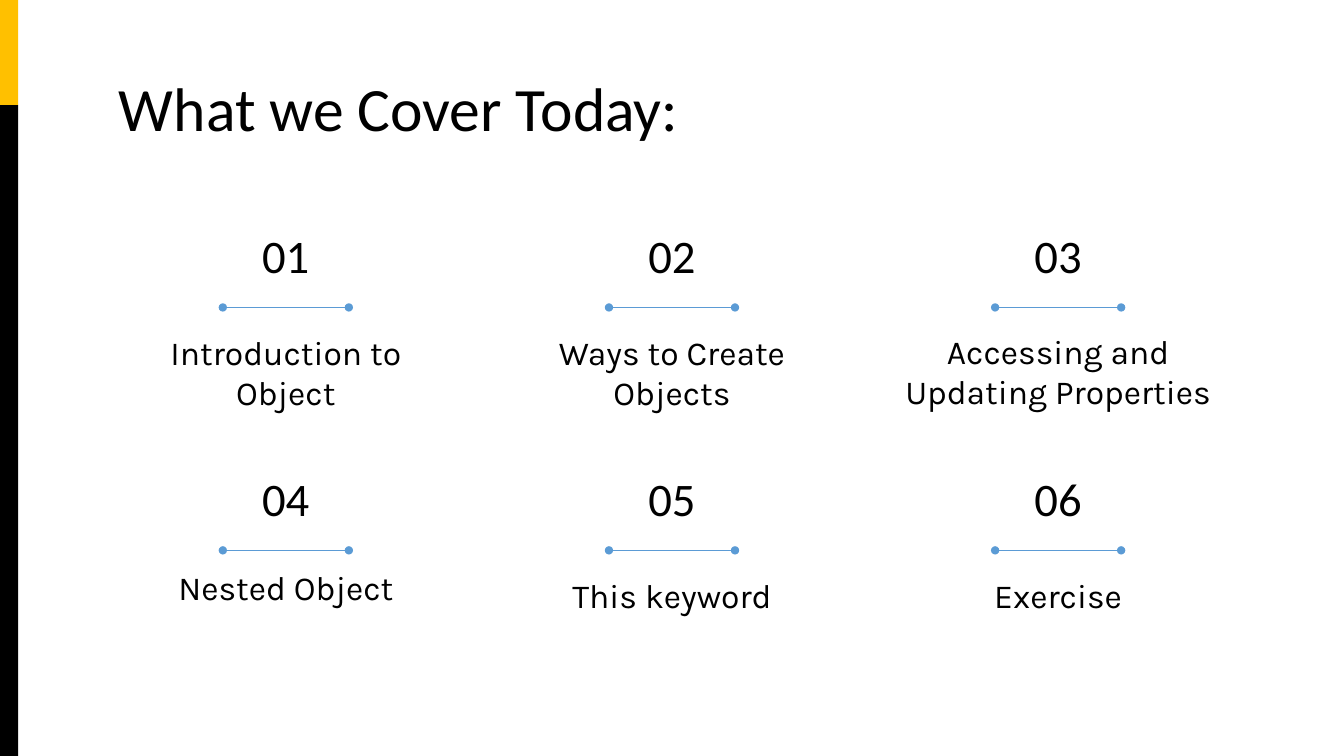
from dataclasses import dataclass

from lxml.etree import SubElement
from pptx import Presentation
from pptx.dml.color import RGBColor
from pptx.enum.shapes import MSO_CONNECTOR, MSO_SHAPE
from pptx.enum.text import MSO_ANCHOR, MSO_AUTO_SIZE, PP_ALIGN
from pptx.oxml.ns import qn
from pptx.slide import Slide
from pptx.text.text import TextFrame
from pptx.util import Inches, Pt


@dataclass(frozen=True)
class Theme:
    """Colours, fonts and type sizes of the slide."""
    ink: RGBColor = RGBColor(0, 0, 0)
    accent: RGBColor = RGBColor(0xFF, 0xC0, 0x00)
    rule: RGBColor = RGBColor(0x5B, 0x9B, 0xD5)
    heading_font: str = "Calibri"
    body_font: str = "Karla"
    title_size: float = 44
    number_size: float = 33.3
    topic_size: float = 24
    inset: float = 0.13


@dataclass(frozen=True)
class Grid:
    """Topic grid in inches, with offsets measured from each row's top."""
    left: float = 1.05
    width: float = 11.23
    cols: int = 3
    cell_w: float = 3.57
    top: float = 2.03
    row_pitch: float = 2.41
    number_w: float = 1.14
    number_h: float = 0.91
    rule_w: float = 1.25
    rule_y: float = 1.02
    topic_y: float = 1.13
    topic_h: float = 0.65

    def cell(self, index: int) -> tuple[float, float]:
        """Return the left and top of a cell."""
        row, col = divmod(index, self.cols)
        pitch = (self.width - self.cell_w) / (self.cols - 1)
        return self.left + col * pitch, self.top + row * self.row_pitch


@dataclass(frozen=True)
class Topic:
    """One agenda entry, with an optional upward shift of its text."""
    text: str
    lift: float = 0


THEME = Theme()
GRID = Grid()
SLIDE_W, SLIDE_H = 13.33, 7.5
BAR_W, ACCENT_H = 0.18, 1.04
TOPICS = (
    Topic("Introduction to Object"),
    Topic("Ways to Create Objects"),
    Topic("Accessing and Updating Properties", lift=0.01),
    Topic("Nested Object", lift=0.08),
    Topic("This keyword"),
    Topic("Exercise"),
)


def write(tf: TextFrame, text: str, *, size: float, font: str,
          align: PP_ALIGN = PP_ALIGN.CENTER, anchor: MSO_ANCHOR = MSO_ANCHOR.TOP,
          spacing: float = 1.0) -> None:
    """Fill a text frame with one formatted paragraph."""
    tf.word_wrap = True
    tf.auto_size = MSO_AUTO_SIZE.NONE
    tf.vertical_anchor = anchor
    tf.margin_left = tf.margin_right = Inches(THEME.inset)
    tf.margin_top = tf.margin_bottom = Inches(THEME.inset)
    p = tf.paragraphs[0]
    p.alignment, p.line_spacing = align, spacing
    p.space_before = Pt(0)
    r = p.add_run()
    r.text = text
    r.font.size, r.font.name = Pt(size), font
    r.font.color.rgb = THEME.ink


def add_text(s: Slide, x: float, y: float, w: float, h: float) -> TextFrame:
    """Add a text box and return its frame."""
    return s.shapes.add_textbox(Inches(x), Inches(y), Inches(w), Inches(h)).text_frame


def add_bar(s: Slide, top: float, height: float, color: RGBColor) -> None:
    """Add one section of the left edge bar."""
    sp = s.shapes.add_shape(MSO_SHAPE.RECTANGLE, 0, Inches(top), Inches(BAR_W), Inches(height))
    sp.shadow.inherit = False
    sp.fill.solid()
    sp.fill.fore_color.rgb = color
    sp.line.fill.background()


def add_rule(s: Slide, x: float, y: float) -> None:
    """Add a thin line with a dot at each end."""
    cxn = s.shapes.add_connector(MSO_CONNECTOR.STRAIGHT, Inches(x), Inches(y),
                                 Inches(x + GRID.rule_w), Inches(y))
    cxn.line.color.rgb = THEME.rule
    cxn.line.width = Pt(0.75)
    ln = cxn.line._get_or_add_ln()
    for end in ("a:headEnd", "a:tailEnd"):
        SubElement(ln, qn(end), type="oval")
    SubElement(cxn._element.spPr, qn("a:effectLst"))


def add_topic(s: Slide, index: int, topic: Topic) -> None:
    """Draw a topic's number, rule and text in its grid cell."""
    x, y = GRID.cell(index)
    mid = x + GRID.cell_w / 2
    write(add_text(s, mid - GRID.number_w / 2, y, GRID.number_w, GRID.number_h),
          f"{index + 1:02d}", size=THEME.number_size, font=THEME.heading_font,
          anchor=MSO_ANCHOR.BOTTOM, spacing=0.9)
    add_rule(s, mid - GRID.rule_w / 2, y + GRID.rule_y)
    write(add_text(s, x, y + GRID.topic_y - topic.lift, GRID.cell_w, GRID.topic_h),
          topic.text, size=THEME.topic_size, font=THEME.body_font)


def main() -> None:
    """Build and save the agenda slide."""
    prs = Presentation()
    prs.slide_width, prs.slide_height = Inches(SLIDE_W), Inches(SLIDE_H)
    s = prs.slides.add_slide(prs.slide_layouts[5])
    add_bar(s, ACCENT_H, SLIDE_H - ACCENT_H, THEME.ink)
    add_bar(s, 0, ACCENT_H, THEME.accent)
    title = s.shapes.title
    title.left, title.top = Inches(GRID.left), Inches(0.65)
    title.width, title.height = Inches(GRID.width), Inches(0.84)
    write(title.text_frame, "What we Cover Today:", size=THEME.title_size,
          font=THEME.heading_font, align=PP_ALIGN.LEFT, spacing=0.9)
    for index, topic in enumerate(TOPICS):
        add_topic(s, index, topic)
    prs.save("out.pptx")


if __name__ == "__main__":
    main()
